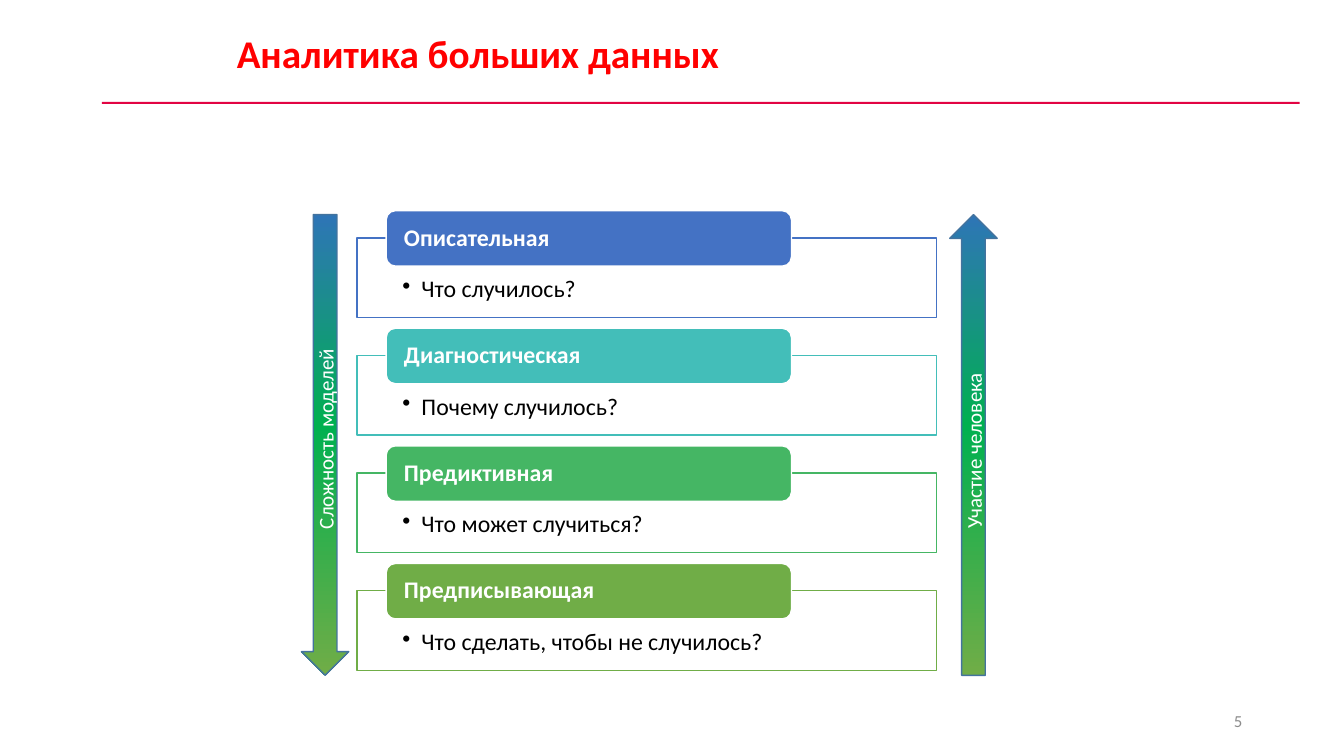
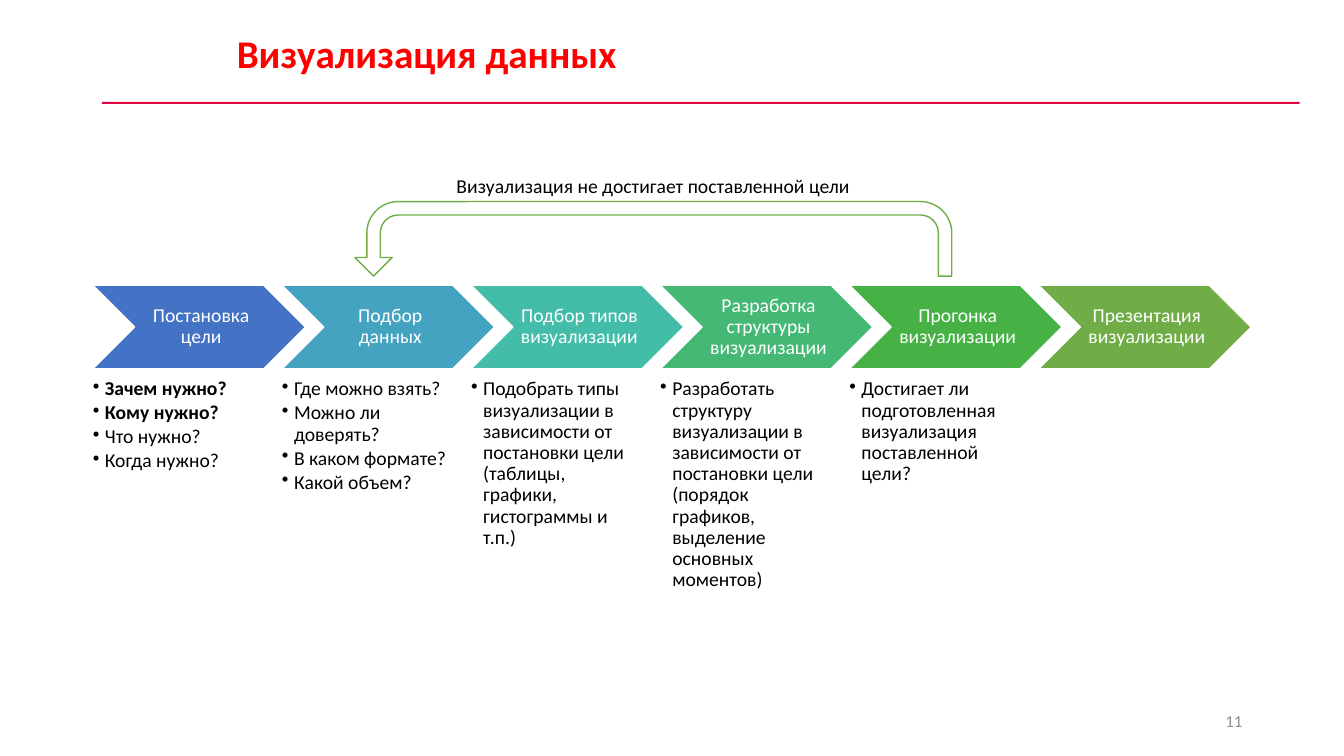
import lxml.etree
import pptx
import pptx.dml.color
import pptx.enum.shapes
import pptx.enum.text
import pptx.oxml.ns
import pptx.util

Inches = pptx.util.Inches
Pt = pptx.util.Pt
RGBColor = pptx.dml.color.RGBColor
SHAPE = pptx.enum.shapes.MSO_SHAPE
ALIGN = pptx.enum.text.PP_ALIGN
ANCHOR = pptx.enum.text.MSO_ANCHOR
qn = pptx.oxml.ns.qn

# Shared look
FONT = "Calibri"
WHITE = RGBColor(0xFF, 0xFF, 0xFF)
BLACK = RGBColor(0x00, 0x00, 0x00)
TITLE_RED = RGBColor(0xFF, 0x00, 0x00)
RULE_RED = RGBColor(0xE2, 0x04, 0x43)
NUMBER_GREY = RGBColor(0x8C, 0x8C, 0x8C)
BLUE = RGBColor(0x44, 0x72, 0xC4)
SKY = RGBColor(0x44, 0xA3, 0xC0)
TURQUOISE = RGBColor(0x43, 0xBE, 0xB9)
TEAL = RGBColor(0x43, 0xBD, 0xA7)
MINT = RGBColor(0x44, 0xB8, 0x74)
EMERALD = RGBColor(0x45, 0xB6, 0x64)
GREEN = RGBColor(0x46, 0xB2, 0x46)
OLIVE = RGBColor(0x70, 0xAD, 0x47)
ARROW_EDGE = RGBColor(0x43, 0x73, 0x9E)
ARROW_STOPS = [
    (0, RGBColor(0x2E, 0x75, 0xB6)),
    (46, RGBColor(0x00, 0xB0, 0x50)),
    (100, OLIVE),
]

# Content of the analytics slide
ANALYTICS = [
    ("Описательная", "Что случилось?", BLUE),
    ("Диагностическая", "Почему случилось?", TURQUOISE),
    ("Предиктивная", "Что может случиться?", EMERALD),
    ("Предписывающая", "Что сделать, чтобы не случилось?", OLIVE),
]
TRENDS = [
    ("Сложность моделей", SHAPE.DOWN_ARROW, 2.99),
    ("Участие человека", SHAPE.UP_ARROW, 9.42),
]

# Content of the visualization slide
STAGES = [
    ("Постановка цели", BLUE,
     ["Зачем нужно?", "Кому нужно?", "Что нужно?", "Когда нужно?"]),
    ("Подбор данных", SKY,
     ["Где можно взять?", "Можно ли доверять?", "В каком формате?", "Какой объем?"]),
    ("Подбор типов визуализации", TEAL,
     ["Подобрать типы визуализации в зависимости от постановки цели "
      "(таблицы, графики, гистограммы и т.п.)"]),
    ("Разработка структуры визуализации", MINT,
     ["Разработать структуру визуализации в зависимости от постановки цели "
      "(порядок графиков, выделение основных моментов)"]),
    ("Прогонка визуализации", GREEN,
     ["Достигает ли подготовленная визуализация поставленной цели?"]),
    ("Презентация визуализации", OLIVE, []),
]
EMPHASIZED = {"Зачем нужно?", "Кому нужно?"}
FEEDBACK = "Визуализация не достигает поставленной цели"


def apply(target, values):
    for name, value in values.items():
        setattr(target, name, value)


def write(shape, lines, size, color, bold=False, align=ALIGN.LEFT, anchor=ANCHOR.TOP,
          insets=(0.1, 0.05, 0.1, 0.05), spacing=1.0, after=0, hang=0, wrap=True):
    """Fill a shape with paragraphs; a hang above zero makes them bullets."""
    left, top, right, bottom = map(Inches, insets)
    frame = shape.text_frame
    apply(frame, {"word_wrap": wrap, "vertical_anchor": anchor, "margin_left": left,
                  "margin_top": top, "margin_right": right, "margin_bottom": bottom})
    for index, line in enumerate(lines):
        paragraph = frame.add_paragraph() if index else frame.paragraphs[0]
        apply(paragraph, {"alignment": align, "line_spacing": spacing,
                          "space_after": Pt(after)})
        run = paragraph.add_run()
        run.text = line
        apply(run.font, {"name": FONT, "size": Pt(size),
                         "bold": bold or line in EMPHASIZED})
        run.font.color.rgb = color
        if hang:
            properties = paragraph._p.get_or_add_pPr()
            properties.set("marL", str(Inches(hang)))
            properties.set("indent", str(-Inches(hang)))
            lxml.etree.SubElement(properties, qn("a:buChar")).set("char", "•")


def add_text(slide, box, lines, size, color, **style):
    write(slide.shapes.add_textbox(*map(Inches, box)), lines, size, color, **style)


def add_figure(slide, preset, box, fill, line=None):
    figure = slide.shapes.add_shape(preset, *map(Inches, box))
    figure.shadow.inherit = False
    if fill is not None:
        figure.fill.solid()
        figure.fill.fore_color.rgb = fill
    if line is None:
        figure.line.fill.background()
    else:
        figure.line.color.rgb = line
        figure.line.width = Pt(1)
    return figure


def fill_gradient(figure, stops):
    figure.fill.gradient()
    figure.fill.gradient_angle = 270
    stop_list = next(figure.element.iter(qn("a:gsLst")))
    for old_stop in list(stop_list):
        stop_list.remove(old_stop)
    for percent, color in stops:
        stop = lxml.etree.SubElement(stop_list, qn("a:gs"))
        stop.set("pos", str(percent * 1000))
        lxml.etree.SubElement(stop, qn("a:srgbClr")).set("val", str(color))


def add_page(deck, title, number):
    slide = deck.slides.add_slide(deck.slide_layouts[6])
    add_figure(slide, SHAPE.RECTANGLE, (1.01, 1.01, 11.88, 0.02), RULE_RED)
    add_text(slide, (2.25, 0.24, 10.71, 0.57), [title], 28, TITLE_RED, bold=True)
    add_text(slide, (9.42, 6.95, 3, 0.4), [number], 12, NUMBER_GREY,
             align=ALIGN.RIGHT, anchor=ANCHOR.MIDDLE)
    return slide


def build_analytics(deck):
    slide = add_page(deck, "Аналитика больших данных", "5")

    # Framed questions with overlapping headings
    first_top, pitch = 2.36, 3.5 / 3
    for row, (kind, question, color) in enumerate(ANALYTICS):
        top = first_top + row * pitch
        frame = add_figure(slide, SHAPE.RECTANGLE, (3.54, top, 5.75, 0.79), WHITE, color)
        write(frame, [question], 17, BLACK, insets=(0.45, 0.39, 0.45, 0.13),
              spacing=0.9, hang=0.19)
        heading = add_figure(slide, SHAPE.ROUNDED_RECTANGLE,
                             (3.83, top - 0.27, 4.02, 0.55), color, WHITE)
        write(heading, [kind], 17, WHITE, bold=True, anchor=ANCHOR.MIDDLE,
              insets=(0.15, 0, 0.15, 0), spacing=0.9)

    # Trend arrows on both sides
    for label, preset, left in TRENDS:
        arrow = add_figure(slide, preset, (left, 2.13, 0.47, 4.57), None, ARROW_EDGE)
        fill_gradient(arrow, ARROW_STOPS)
        write(arrow, [label], 15, WHITE, align=ALIGN.CENTER, anchor=ANCHOR.MIDDLE)
        next(arrow.element.iter(qn("a:bodyPr"))).set("vert", "vert270")


def build_visualization(deck):
    slide = add_page(deck, "Визуализация данных", "11")

    # Process stages with their questions below
    first_left, last_left = 0.92, 10.3
    pitch = (last_left - first_left) / (len(STAGES) - 1)
    for column, (stage, color, questions) in enumerate(STAGES):
        left = first_left + column * pitch
        chevron = add_figure(slide, SHAPE.CHEVRON, (left, 2.83, 2.11, 0.83), color, WHITE)
        write(chevron, [stage], 14, WHITE, align=ALIGN.CENTER, anchor=ANCHOR.MIDDLE,
              insets=(0.06, 0.02, 0.02, 0.02), spacing=0.9)
        if questions:
            add_text(slide, (left, 3.76, 1.69, 2.16), questions, 14, BLACK,
                     insets=(0, 0, 0, 0), spacing=0.9, after=2, hang=0.12)

    # Feedback loop
    loop = add_figure(slide, SHAPE.U_TURN_ARROW, (3.52, 2, 5.92, 0.74), WHITE, OLIVE)
    for index, value in enumerate((0.18, 0.25, 0.25, 0.42, 1)):
        loop.adjustments[index] = value
    next(loop.element.iter(qn("a:xfrm"))).set("flipH", "1")
    add_text(slide, (4.41, 1.68, 4.14, 0.34), [FEEDBACK], 14, BLACK,
             align=ALIGN.CENTER, wrap=False)


def main():
    deck = pptx.Presentation()
    apply(deck, {"slide_width": Inches(13.33), "slide_height": Inches(7.5)})
    build_analytics(deck)
    build_visualization(deck)
    deck.save("out.pptx")


if __name__ == "__main__":
    main()
